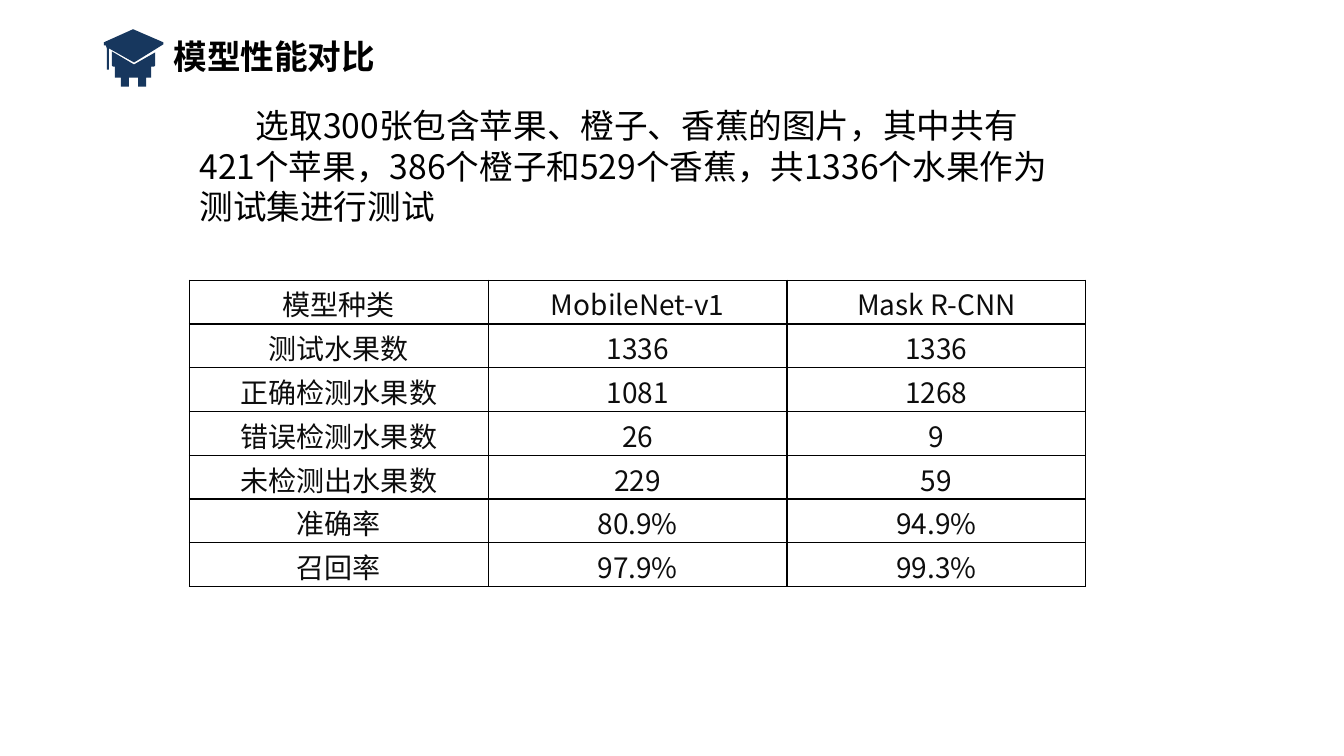
from lxml.etree import SubElement
from pptx import Presentation
from pptx.dml.color import RGBColor
from pptx.enum.text import MSO_ANCHOR, MSO_AUTO_SIZE, PP_ALIGN
from pptx.oxml import parse_xml
from pptx.oxml.ns import nsdecls, qn
from pptx.util import Inches, Pt

FONT = "Noto Sans CJK SC"


def color(value):
    return RGBColor.from_string(value)


def add_text(paragraph, text, size, shade, bold=False):
    run = paragraph.add_run()
    run.text = text
    run.font.size = Pt(size)
    run.font.bold = bold
    run.font.color.rgb = color(shade)
    run.font.name = FONT
    SubElement(run.font._element, qn("a:ea"), typeface=FONT)


prs = Presentation()
prs.slide_width, prs.slide_height = Inches(13.33), Inches(7.5)
slide = prs.slides.add_slide(prs.slide_layouts[5])

# Graduation cap: board with tassel, then head; points in hundredths of an inch
board = [(103, 45), (105, 45), (106, 48), (106, 69), (108, 69), (108, 48),
         (133, 62), (162, 44), (162, 42), (132, 29), (103, 42)]
head = [(150, 66), (153, 66), (154, 65), (154, 52), (133, 64), (111, 51),
        (111, 65), (112, 66), (114, 66), (114, 77), (120, 77), (120, 86),
        (128, 86), (128, 77), (137, 77), (137, 86), (145, 86), (145, 77), (150, 77)]
for outline in (board, head):
    builder = slide.shapes.build_freeform(*outline[0], scale=Inches(0.01))
    builder.add_line_segments(outline[1:], close=True)
    cap_part = builder.convert_to_shape()
    cap_part.shadow.inherit = False
    cap_part.fill.solid()
    cap_part.fill.fore_color.rgb = color("17375E")
    cap_part.line.fill.background()

# Title
title = slide.shapes.title
title.left, title.top = Inches(1.62), Inches(0.31)
title.width, title.height = Inches(4.57), Inches(0.5)
title_format = {"auto_size": MSO_AUTO_SIZE.NONE, "vertical_anchor": MSO_ANCHOR.MIDDLE,
                "margin_top": 0, "margin_bottom": 0}
for name, value in title_format.items():
    setattr(title.text_frame, name, value)
heading = title.text_frame.paragraphs[0]
heading.alignment = PP_ALIGN.LEFT
add_text(heading, "模型性能对比", 24, "000000", bold=True)

# Description of the test set
description = slide.shapes.add_textbox(Inches(1.88), Inches(0.95), Inches(8.64), Inches(1.31))
description.text_frame.word_wrap = True
description.text_frame.margin_top = Inches(0.09)
summary = description.text_frame.paragraphs[0]
summary.line_spacing = Pt(29)
summary._p.get_or_add_pPr().set("indent", str(Inches(0.56)))
add_text(summary, "选取300张包含苹果、橙子、香蕉的图片，其中共有421个苹果，386个橙子和529个香蕉，"
         "共1336个水果作为测试集进行测试", 24, "000000")

# Comparison table
results = [
    ("模型种类", "MobileNet-v1", "Mask R-CNN"),
    ("测试水果数", "1336", "1336"),
    ("正确检测水果数", "1081", "1268"),
    ("错误检测水果数", "26", "9"),
    ("未检测出水果数", "229", "59"),
    ("准确率", "80.9%", "94.9%"),
    ("召回率", "97.9%", "99.3%"),
]
comparison = slide.shapes.add_table(len(results), 3, Inches(1.88), Inches(2.78),
                                    Inches(8.89), Inches(3.04)).table
comparison.first_row = comparison.horz_banding = False
cell_format = {"vertical_anchor": MSO_ANCHOR.BOTTOM, "margin_top": 0, "margin_bottom": 0}
for row, values in zip(comparison.rows, results):
    for cell, value in zip(row.cells, values):
        for name, setting in cell_format.items():
            setattr(cell, name, setting)
        entry = cell.text_frame.paragraphs[0]
        entry.alignment = PP_ALIGN.CENTER
        add_text(entry, value, 20, "0D0D0D")
        # Borders come before the fill in the cell properties
        cell_properties = cell._tc.get_or_add_tcPr()
        for side in ("lnL", "lnR", "lnT", "lnB"):
            cell_properties.append(parse_xml(
                f'<a:{side} {nsdecls("a")} w="{Pt(1)}"><a:solidFill>'
                f'<a:srgbClr val="000000"/></a:solidFill></a:{side}>'))
        cell.fill.background()

prs.save("out.pptx")
